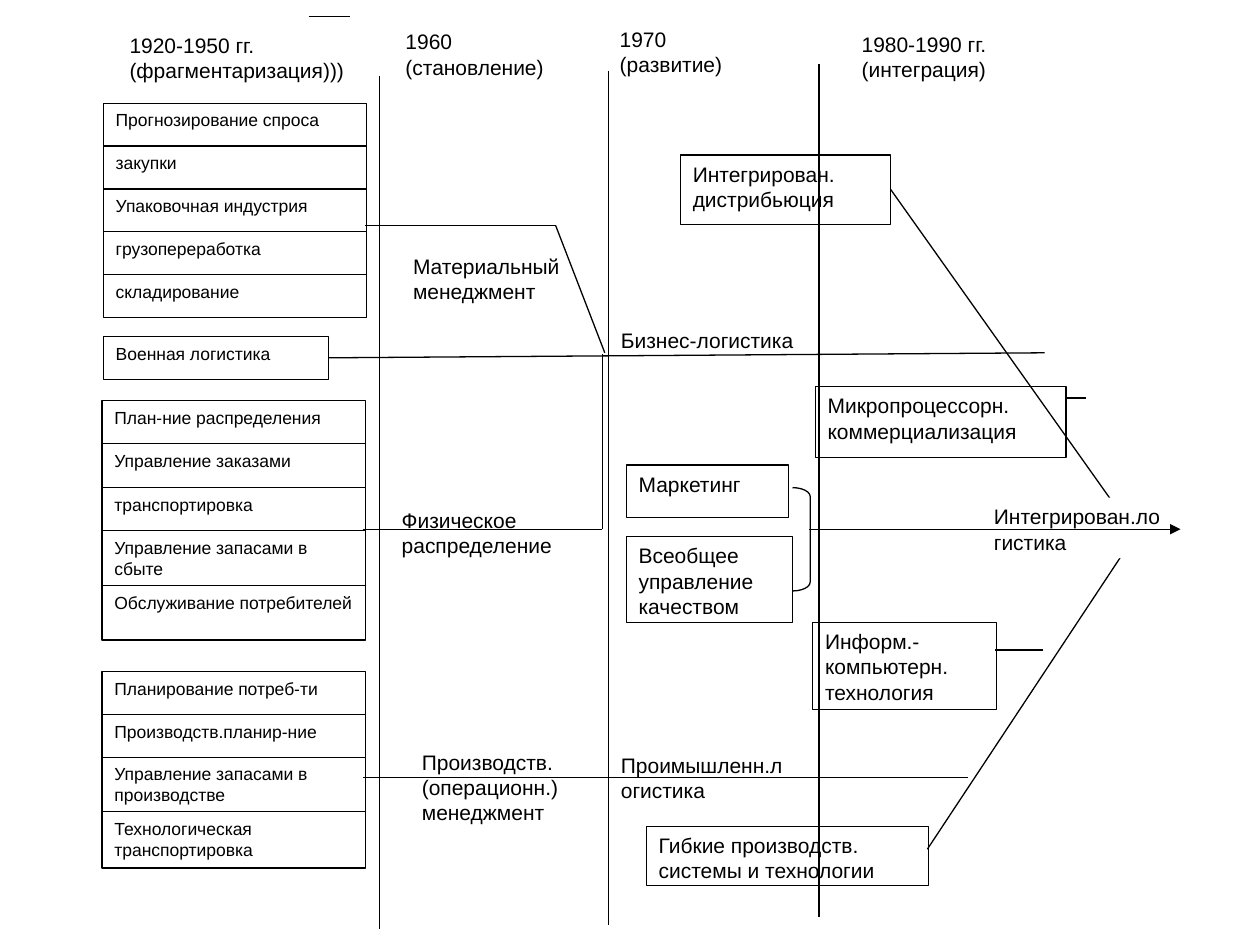
"""Builds a slide tracing how logistics grew from fragmentation to integration."""
from typing import NamedTuple, Optional

from lxml.etree import SubElement
from pptx import Presentation
from pptx.dml.color import RGBColor
from pptx.enum.shapes import MSO_CONNECTOR, MSO_SHAPE
from pptx.enum.text import MSO_ANCHOR, PP_ALIGN
from pptx.oxml.ns import qn
from pptx.util import Inches, Pt

BLACK = RGBColor(0x00, 0x00, 0x00)
WHITE = RGBColor(0xFF, 0xFF, 0xFF)
FONT = "Arial"
LINE_WIDTH = Pt(0.75)
RIGHT_SIDE = 3
LABEL_W, LABEL_H = 1.57, 0.48
STACK_W = 2.09


class Box(NamedTuple):
    left: float
    top: float
    width: float
    height: float
    text: str
    size: int = 12


class Label(NamedTuple):
    left: float
    top: float
    text: str
    width: float = LABEL_W


class Stack(NamedTuple):
    left: float
    top: float
    rows: list[tuple[str, float]]


class Line(NamedTuple):
    x1: float
    y1: float
    x2: float
    y2: float
    arrow: bool = False


STACKS = [
    Stack(0.82, 0.82, [
        ("Прогнозирование спроса", 0.34),
        ("закупки", 0.34),
        ("Упаковочная индустрия", 0.34),
        ("грузопереработка", 0.34),
        ("складирование", 0.34),
    ]),
    Stack(0.81, 3.18, [
        ("План-ние распределения", 0.34),
        ("Управление заказами", 0.35),
        ("транспортировка", 0.34),
        ("Управление запасами в сбыте", 0.44),
        ("Обслуживание потребителей", 0.43),
    ]),
    Stack(0.81, 5.33, [
        ("Планирование потреб-ти", 0.34),
        ("Производств.планир-ние", 0.34),
        ("Управление запасами в производстве", 0.43),
        ("Технологическая транспортировка", 0.45),
    ]),
]
LABELS = [
    Label(0.93, 0.21, "1920-1950 гг. (фрагментаризация)))", 2.0),
    Label(3.12, 0.18, "1960\n(становление)"),
    Label(4.82, 0.16, "1970\n(развитие)"),
    Label(6.74, 0.20, "1980-1990 гг.\n(интеграция)"),
    Label(3.18, 1.96, "Материальный менеджмент"),
    Label(3.09, 3.98, "Физическое распределение"),
    Label(3.25, 5.90, "Производств.\n(операционн.) менеджмент"),
    Label(4.83, 2.55, "Бизнес-логистика"),
    Label(4.83, 5.92, "Проимышленн.логистика"),
]
RESULT = Label(7.79, 3.95, "Интегрирован.логистика")
MILITARY = Box(0.82, 2.67, 1.79, 0.34, "Военная логистика", 10)
DISTRIBUTION = Box(5.40, 1.23, 1.67, 0.55, "Интегрирован. дистрибьюция")
DRIVERS = [
    Box(4.97, 3.69, 1.29, 0.42, "Маркетинг"),
    Box(4.97, 4.26, 1.32, 0.68, "Всеобщее управление качеством"),
    Box(6.47, 3.07, 1.99, 0.56, "Микропроцессорн. коммерциализация"),
    Box(6.45, 4.94, 1.46, 0.69, "Информ.-\nкомпьютерн.\nтехнология"),
    Box(5.13, 6.56, 2.24, 0.47, "Гибкие производств.\nсистемы и технологии"),
]
DISTRIBUTION_LINE = Line(7.07, 1.50, 8.99, 4.21)
MILITARY_LINE = Line(2.61, 2.84, 8.29, 2.80)
DRIVER_LINES = [
    Line(2.45, 0.13, 2.78, 0.13),
    Line(7.36, 6.74, 9.04, 4.20),
    Line(8.28, 5.16, 7.90, 5.16),
    Line(8.46, 3.16, 8.62, 3.16),
]
FLOW_LINES = [
    Line(2.90, 1.79, 4.41, 1.79),
    Line(4.41, 1.79, 4.80, 2.80),
    Line(2.88, 4.20, 4.78, 4.20),
    Line(4.78, 4.20, 4.78, 2.81),
    Line(2.88, 6.17, 7.68, 6.17),
    Line(3.01, 0.60, 3.01, 7.37),
    Line(4.83, 0.56, 4.83, 7.34),
    Line(6.50, 0.51, 6.50, 7.28),
    Line(6.42, 4.20, 9.37, 4.20, True),
]


def write_text(shape, text: str, size: int) -> None:
    tf = shape.text_frame
    tf.word_wrap = True
    tf.vertical_anchor = MSO_ANCHOR.TOP
    for i, line in enumerate(text.split("\n")):
        p = tf.add_paragraph() if i else tf.paragraphs[0]
        p.alignment = PP_ALIGN.LEFT
        r = p.add_run()
        r.text = line
        r.font.name = FONT
        r.font.size = Pt(size)
        r.font.color.rgb = BLACK


def add_box(s, box: Box):
    sp = s.shapes.add_shape(MSO_SHAPE.RECTANGLE, Inches(box.left), Inches(box.top),
                            Inches(box.width), Inches(box.height))
    sp.shadow.inherit = False
    sp.fill.solid()
    sp.fill.fore_color.rgb = WHITE
    sp.line.color.rgb = BLACK
    sp.line.width = LINE_WIDTH
    write_text(sp, box.text, box.size)
    return sp


def add_stack(s, stack: Stack) -> None:
    top = stack.top
    for text, height in stack.rows:
        add_box(s, Box(stack.left, top, STACK_W, height, text, 10))
        top += height


def add_label(s, label: Label) -> None:
    sp = s.shapes.add_textbox(Inches(label.left), Inches(label.top),
                              Inches(label.width), Inches(LABEL_H))
    sp.fill.solid()
    sp.fill.fore_color.rgb = WHITE
    write_text(sp, label.text, 12)


def add_line(s, line: Line, start: Optional[object] = None) -> None:
    cn = s.shapes.add_connector(MSO_CONNECTOR.STRAIGHT, Inches(line.x1), Inches(line.y1),
                                Inches(line.x2), Inches(line.y2))
    cn.line.color.rgb = BLACK
    cn.line.width = LINE_WIDTH
    if line.arrow:
        SubElement(cn.line._get_or_add_ln(), qn("a:tailEnd"), type="triangle")
    SubElement(cn._element.spPr, qn("a:effectLst"))
    if start is not None:
        cn.begin_connect(start, RIGHT_SIDE)


def add_bracket(s) -> None:
    sp = s.shapes.add_shape(MSO_SHAPE.RIGHT_BRACKET, Inches(6.29), Inches(3.87),
                            Inches(0.14), Inches(0.82))
    sp.adjustments[0] = 0.5
    sp.shadow.inherit = False
    sp.fill.background()
    sp.line.color.rgb = BLACK
    sp.line.width = LINE_WIDTH


def main() -> None:
    prs = Presentation()
    prs.slide_width, prs.slide_height = Inches(10), Inches(7.5)
    s = prs.slides.add_slide(prs.slide_layouts[6])
    for stack in STACKS:
        add_stack(s, stack)
    military = add_box(s, MILITARY)
    for label in LABELS:
        add_label(s, label)
    distribution = add_box(s, DISTRIBUTION)
    for box in DRIVERS:
        add_box(s, box)
    add_line(s, DISTRIBUTION_LINE, distribution)
    for line in DRIVER_LINES:
        add_line(s, line)
    add_label(s, RESULT)
    add_line(s, MILITARY_LINE, military)
    add_bracket(s)
    for line in FLOW_LINES:
        add_line(s, line)
    prs.save("out.pptx")


if __name__ == "__main__":
    main()
